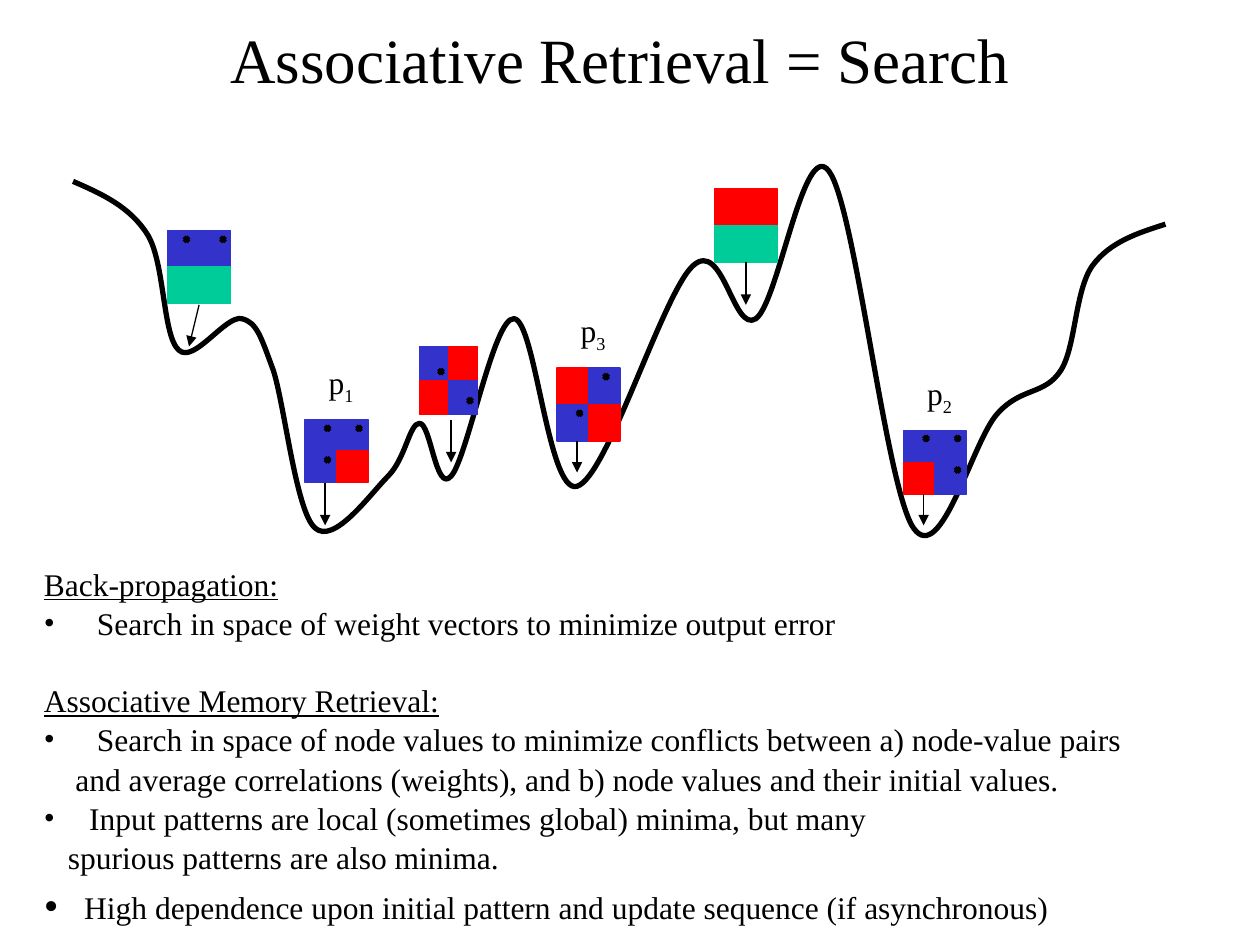
from dataclasses import dataclass
from lxml import etree
from pptx import Presentation
from pptx import util as u
from pptx.dml.color import RGBColor
from pptx.enum import shapes, text
from pptx.oxml import ns

Inches, Pt = u.Inches, u.Pt


@dataclass(frozen=True)
class Theme:
    font: str = "Times New Roman"
    black: RGBColor = RGBColor(0, 0, 0)
    blue: RGBColor = RGBColor(0x33, 0x33, 0xCC)
    red: RGBColor = RGBColor(0xFF, 0, 0)
    green: RGBColor = RGBColor(0, 0xCC, 0x99)
    title: int = 36
    body: int = 18


theme = Theme()


def write(para, words, size=theme.body, underline=False, subscript=False):
    span = para.add_run()
    span.text = words
    span.font.name = theme.font
    span.font.size = Pt(size)
    span.font.color.rgb = theme.black
    if underline:
        span.font.underline = True
    if subscript:
        span.font._element.set("baseline", "-25000")


def draw_line(start, end, width, arrow=False):
    line = page.shapes.add_connector(
        shapes.MSO_CONNECTOR.STRAIGHT, *[Inches(v) for v in (*start, *end)])
    line.line.color.rgb = theme.black
    line.line.width = Pt(width)
    if arrow:
        etree.SubElement(line.line._get_or_add_ln(), ns.qn("a:tailEnd"), type="triangle")
    etree.SubElement(line._element.spPr, ns.qn("a:effectLst"))


deck = Presentation()
deck.slide_width, deck.slide_height = Inches(10), Inches(7.5)
page = deck.slides.add_slide(deck.slide_layouts[5])

title = page.shapes.title
title.left, title.top, title.width, title.height = [Inches(v) for v in (0.67, 0.25, 8.5, 0.42)]
title.text_frame.vertical_anchor = text.MSO_ANCHOR.MIDDLE
title.text_frame.auto_size = text.MSO_AUTO_SIZE.NONE
title.text_frame.paragraphs[0].alignment = text.PP_ALIGN.CENTER
write(title.text_frame.paragraphs[0], "Associative Retrieval = Search", size=theme.title)

landscape_start = (0.58, 1.44)
landscape_curves = [
    ((0.81, 1.54), (1.03, 1.64), (1.17, 1.86)),
    ((1.31, 2.08), (1.29, 2.67), (1.42, 2.78)),
    ((1.54, 2.89), (1.79, 2.5), (1.92, 2.53)),
    ((2.04, 2.56), (2.07, 2.67), (2.17, 2.94)),
    ((2.26, 3.22), (2.35, 4.06), (2.5, 4.19)),
    ((2.65, 4.33), (2.94, 3.92), (3.08, 3.78)),
    ((3.22, 3.64), (3.25, 3.36), (3.33, 3.36)),
    ((3.42, 3.36), (3.46, 3.92), (3.58, 3.78)),
    ((3.71, 3.64), (3.92, 2.51), (4.08, 2.53)),
    ((4.25, 2.54), (4.35, 3.93), (4.58, 3.86)),
    ((4.82, 3.79), (5.26, 2.33), (5.5, 2.11)),
    ((5.74, 1.89), (5.82, 2.65), (6, 2.53)),
    ((6.18, 2.4), (6.38, 1.08), (6.58, 1.36)),
    ((6.79, 1.64), (7.03, 3.87), (7.25, 4.19)),
    ((7.47, 4.51), (7.72, 3.49), (7.92, 3.28)),
    ((8.11, 3.07), (8.29, 3.14), (8.42, 2.94)),
    ((8.54, 2.75), (8.53, 2.31), (8.67, 2.11)),
    ((8.81, 1.92), (9.03, 1.85), (9.25, 1.78)),
]
builder = page.shapes.build_freeform(*landscape_start, scale=Inches(1) / 1.0)
builder = page.shapes.build_freeform(
    *[Inches(v) for v in landscape_start])
builder.add_line_segments(
    [(Inches(x), Inches(y)) for curve in landscape_curves for x, y in curve], close=False)
landscape = builder.convert_to_shape()
landscape.shadow.inherit = False
landscape.fill.background()
landscape.line.color.rgb = theme.black
landscape.line.width = Pt(3)
outline = next(landscape._element.iter(ns.qn("a:path")))
segments = outline.findall(ns.qn("a:lnTo"))
for first in range(0, len(segments), 3):
    bezier = etree.SubElement(outline, ns.qn("a:cubicBezTo"))
    for segment in segments[first:first + 3]:
        bezier.append(segment[0])
        outline.remove(segment)

notes = [
    ("Back-propagation:", None, False, 0),
    ("Search in space of weight vectors to minimize output error", 0.42, True, 0),
    ("Associative Memory Retrieval:", None, False, 21.6),
    ("Search in space of node values to minimize conflicts between a) node-value pairs",
     0.42, True, 0),
    ("and average correlations (weights), and b) node values and their initial values.",
     0.25, False, 0),
    ("Input patterns are local (sometimes global) minima, but many", 0.36, True, 0),
    ("spurious patterns are also minima.", 0.19, False, 0),
    ("High dependence upon initial pattern and update sequence (if asynchronous)",
     0.32, True, 6),
]
box = page.shapes.add_textbox(Inches(0.25), Inches(4.42), Inches(9.28), Inches(2.9))
box.text_frame.word_wrap = True
for index, (words, indent, bullet, gap) in enumerate(notes):
    para = box.text_frame.paragraphs[0] if index == 0 else box.text_frame.add_paragraph()
    para.space_before = Pt(gap)
    para.line_spacing = 1.04
    write(para, words, underline=indent is None)
    props = para._p.get_or_add_pPr()
    props.set("marL", str(Inches(indent or 0)))
    props.set("indent", str(-Inches(indent) if bullet else 0))
    if bullet:
        if index == len(notes) - 1:
            etree.SubElement(props, ns.qn("a:buSzPct"), val="133000")
        etree.SubElement(props, ns.qn("a:buFont"), typeface=theme.font)
        etree.SubElement(props, ns.qn("a:buChar"), char="•")

B, R, G = theme.blue, theme.red, theme.green
patterns = [
    (7.17, 3.42, 0.25, 0.25, (B, B, R, B), [(7.6, 3.73), (7.35, 3.48), (7.6, 3.48)]),
    (4.42, 2.92, 0.25, 0.29, (R, B, B, R), [(4.81, 2.99), (4.6, 3.28)]),
    (2.42, 3.33, 0.25, 0.25, (B, B, B, R), [(2.85, 3.4), (2.6, 3.4), (2.6, 3.65)]),
    (3.33, 2.75, 0.23, 0.27, (B, R, R, B), [(3.73, 3.18), (3.5, 2.95)]),
    (1.33, 1.83, 0.25, 0.29, (B, B, G, G), [(1.48, 1.9), (1.77, 1.9)]),
    (5.67, 1.5, 0.25, 0.29, (R, R, G, G), []),
]
reach = 0.02
for left, top, width, height, colours, marks in patterns:
    for index, colour in enumerate(colours):
        row, column = divmod(index, 2)
        cell = page.shapes.add_shape(
            shapes.MSO_SHAPE.RECTANGLE, Inches(left + column * width),
            Inches(top + row * height), Inches(width), Inches(height))
        cell.shadow.inherit = False
        cell.fill.solid()
        cell.fill.fore_color.rgb = colour
        cell.line.color.rgb = colour
        cell.line.width = Pt(0.74)
    for x, y in marks:
        for slope in (reach, -reach):
            draw_line((x - reach, y - slope), (x + reach, y + slope), 2.24)

for number, left, top in [(1, 2.51, 2.83), (2, 7.26, 2.92), (3, 4.51, 2.42)]:
    label = page.shapes.add_textbox(Inches(left), Inches(top), Inches(0.4), Inches(0.44))
    label.text_frame.word_wrap = False
    para = label.text_frame.paragraphs[0]
    write(para, "p")
    write(para, str(number), subscript=True)

arrows = [
    ((3.58, 3.33), (3.58, 3.67)),
    ((2.58, 3.83), (2.58, 4.17)),
    ((7.33, 3.92), (7.33, 4.17)),
    ((4.58, 3.5), (4.58, 3.75)),
    ((1.58, 2.42), (1.5, 2.75)),
    ((5.92, 2.08), (5.92, 2.42)),
]
for start, end in arrows:
    draw_line(start, end, 0.74, arrow=True)

deck.save("out.pptx")
